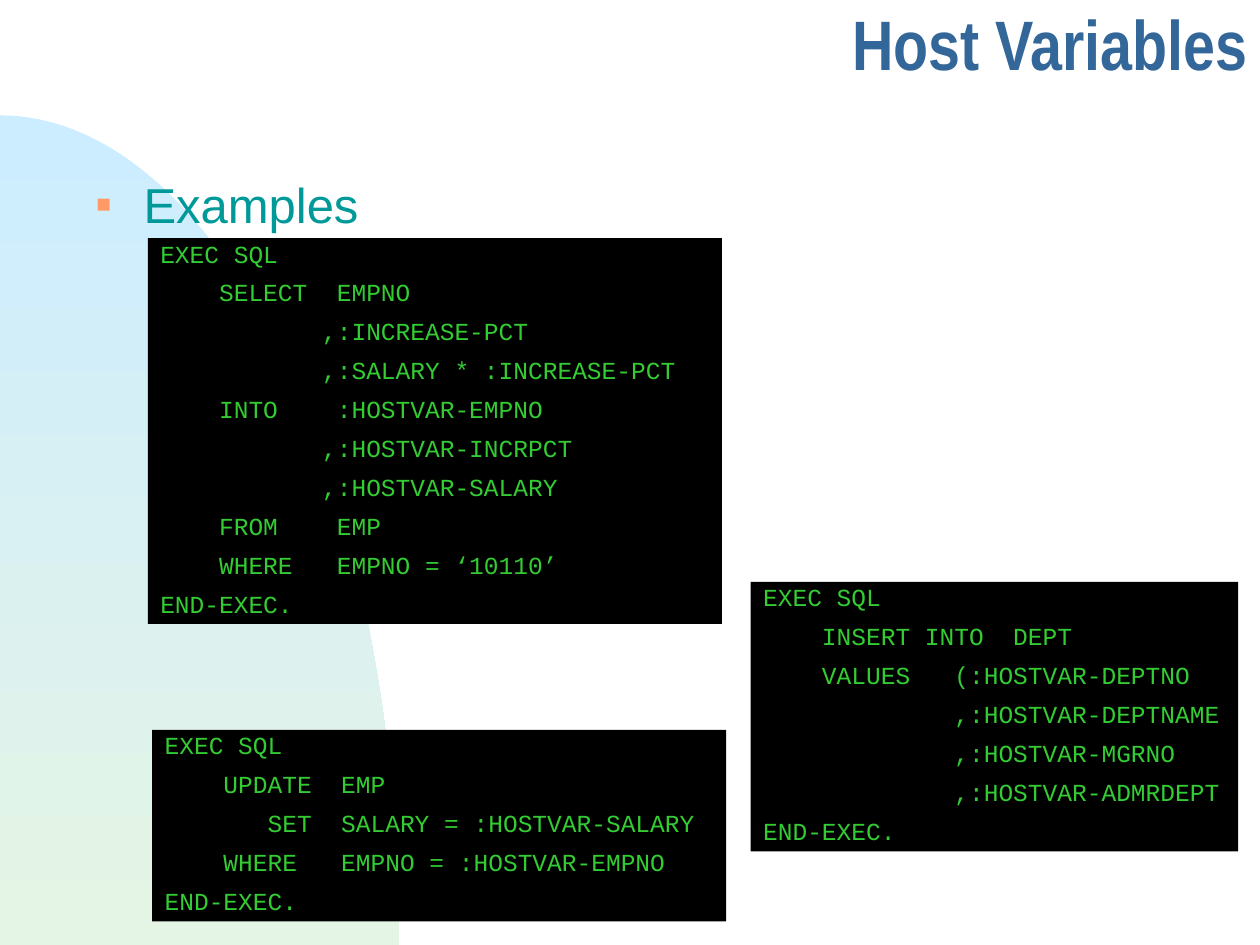
from math import cos, pi, sin

from lxml import etree
from pptx import Presentation
from pptx.dml.color import RGBColor
from pptx.enum.shapes import MSO_SHAPE
from pptx.enum.text import MSO_ANCHOR, PP_ALIGN
from pptx.oxml.ns import qn
from pptx.util import Pt

RECTANGLE = MSO_SHAPE.RECTANGLE
MIDDLE = MSO_ANCHOR.MIDDLE
TOP = MSO_ANCHOR.TOP
LEFT = PP_ALIGN.LEFT
RIGHT = PP_ALIGN.RIGHT

COLORS = {
    "title": "336699",
    "body": "009999",
    "bullet": "FF9966",
    "code": "33CC33",
    "panel": "010000",
    "arc top": "CCECFF",
    "arc bottom": "E5F5E5",
}


def color(name):
    return RGBColor.from_string(COLORS[name])


def style(paragraph, font_name, size, color_name):
    paragraph.font.name = font_name
    paragraph.font.size = Pt(size)
    paragraph.font.color.rgb = color(color_name)


deck = Presentation()
deck.slide_width, deck.slide_height = Pt(720), Pt(540)
page = deck.slides.add_slide(deck.slide_layouts[6])

# Quarter ellipse, centred on the bottom left corner of the page
ARC_WIDTH, ARC_HEIGHT, ARC_STEPS = 228, 474, 90
angles = [pi / 2 * step / ARC_STEPS for step in range(ARC_STEPS + 1)]
curve = [(Pt(ARC_WIDTH * sin(a)), Pt(540 - ARC_HEIGHT * cos(a))) for a in angles]
outline = page.shapes.build_freeform(*curve[0])
outline.add_line_segments(curve[1:] + [(Pt(0), Pt(540))], close=True)
arc = outline.convert_to_shape()
arc.shadow.inherit = False
arc.line.fill.background()
arc.fill.gradient()
arc.fill.gradient_angle = 270
for stop, name in zip(arc.fill.gradient_stops, ("arc top", "arc bottom")):
    stop.color.rgb = color(name)

# Title
title = page.shapes.add_textbox(Pt(78), Pt(0), Pt(642), Pt(60))
title.text_frame.word_wrap = True
title.text_frame.vertical_anchor = MIDDLE
paragraph = title.text_frame.paragraphs[0]
paragraph.text = "Host Variables"
paragraph.alignment = RIGHT
paragraph.line_spacing = 0.7
style(paragraph, "Arial Narrow", 40, "title")
paragraph.font.bold = True

# Bulleted heading
body = page.shapes.add_textbox(Pt(48), Pt(96), Pt(654), Pt(384))
body.text_frame.word_wrap = True
paragraph = body.text_frame.paragraphs[0]
paragraph.text = "Examples"
properties = paragraph._p.get_or_add_pPr()
properties.set("marL", str(Pt(27)))
properties.set("indent", str(-Pt(27)))
bullet_color = etree.SubElement(properties, qn("a:buClr"))
etree.SubElement(bullet_color, qn("a:srgbClr"), val=COLORS["bullet"])
etree.SubElement(properties, qn("a:buSzPct"), val="50000")
etree.SubElement(properties, qn("a:buFont"), typeface="Arial")
etree.SubElement(properties, qn("a:buChar"), char="■")
style(paragraph, "Arial", 28, "body")

# Code panels: left, top, width, height, code
PANELS = [
    (84.5, 136, 328, 220.5, """\
EXEC SQL
    SELECT  EMPNO
           ,:INCREASE-PCT
           ,:SALARY * :INCREASE-PCT
    INTO    :HOSTVAR-EMPNO
           ,:HOSTVAR-INCRPCT
           ,:HOSTVAR-SALARY
    FROM    EMP
    WHERE   EMPNO = ‘10110’
END-EXEC."""),
    (87, 417, 328, 109.5, """\
EXEC SQL
    UPDATE  EMP
       SET  SALARY = :HOSTVAR-SALARY
    WHERE   EMPNO = :HOSTVAR-EMPNO
END-EXEC."""),
    (429, 332.5, 278.5, 154, """\
EXEC SQL
    INSERT INTO  DEPT
    VALUES   (:HOSTVAR-DEPTNO
             ,:HOSTVAR-DEPTNAME
             ,:HOSTVAR-MGRNO
             ,:HOSTVAR-ADMRDEPT
END-EXEC."""),
]

for left, top, width, height, code in PANELS:
    panel = page.shapes.add_shape(RECTANGLE, Pt(left), Pt(top), Pt(width), Pt(height))
    panel.shadow.inherit = False
    panel.fill.solid()
    panel.fill.fore_color.rgb = color("panel")
    panel.line.fill.background()
    frame = panel.text_frame
    frame.word_wrap = True
    frame.vertical_anchor = TOP
    frame.text = code
    for index, paragraph in enumerate(frame.paragraphs):
        paragraph.alignment = LEFT
        paragraph.line_spacing = 0.8
        paragraph.space_before = Pt(8.8 if index else 0)
        style(paragraph, "Courier New", 14, "code")

deck.save("out.pptx")
